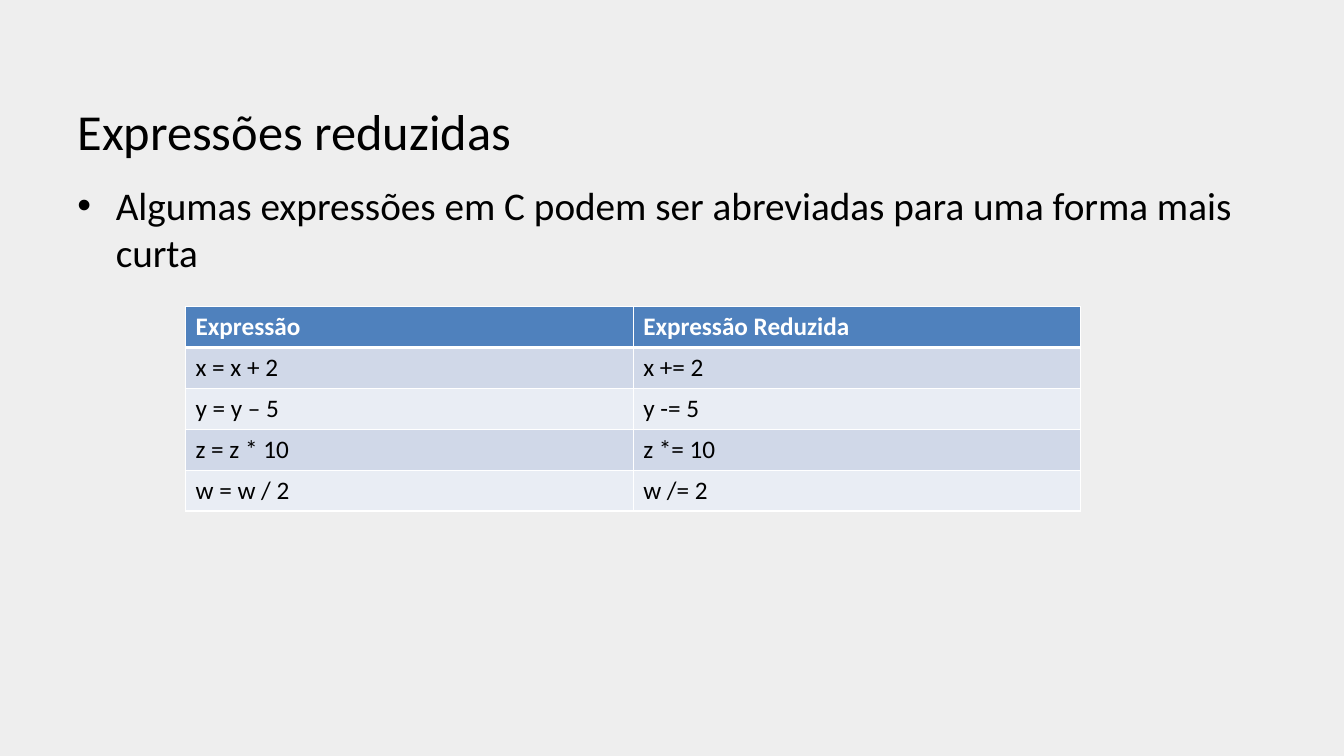
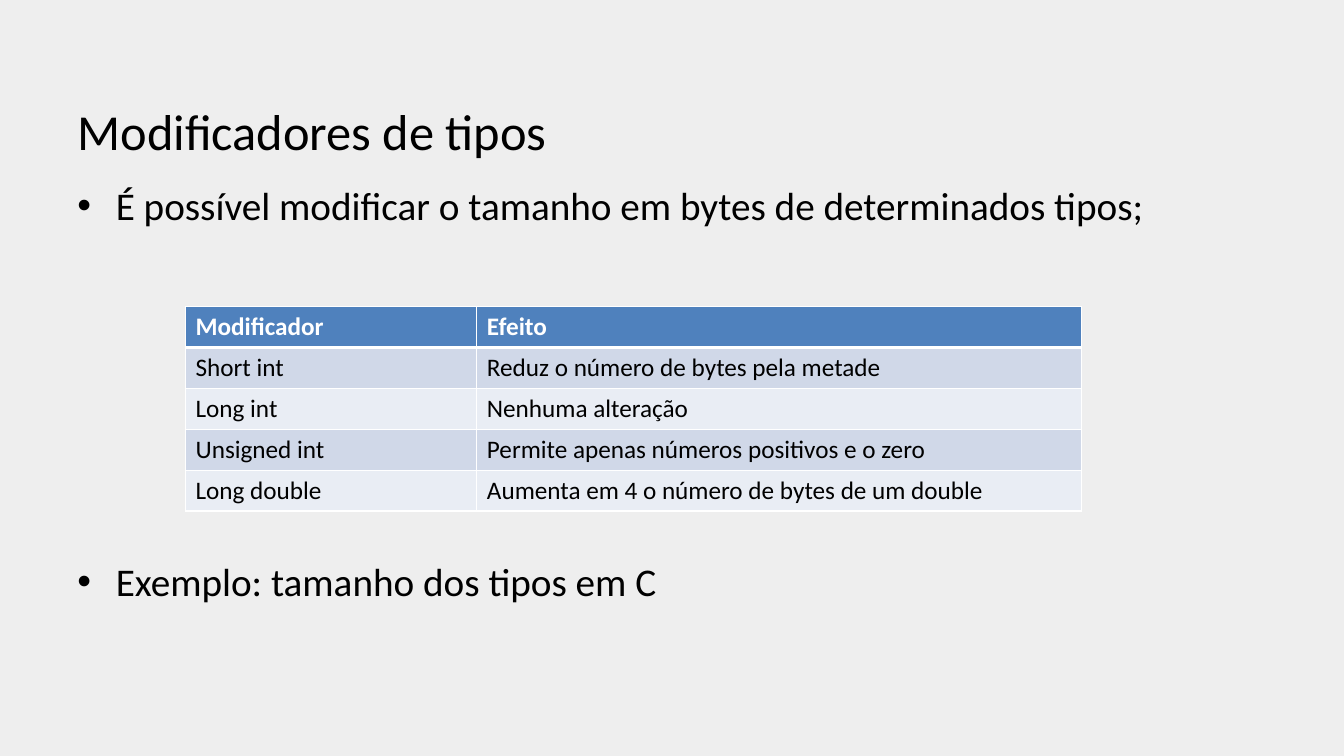
import pptx
import pptx.dml.color
import pptx.enum.text
import pptx.oxml.ns
import pptx.util
from lxml import etree

Inches = pptx.util.Inches
Pt = pptx.util.Pt

# Content: each bullet is (text, space before in points)
SLIDES = [
    {
        "title": "Expressões reduzidas",
        "bullets": [
            ("Algumas expressões em C podem ser abreviadas para uma forma mais curta", 0),
        ],
        "columns": [4.44, 4.44],
        "rows": [
            ("Expressão", "Expressão Reduzida"),
            ("x = x + 2", "x += 2"),
            ("y = y – 5", "y -= 5"),
            ("z = z * 10", "z *= 10"),
            ("w = w / 2", "w /= 2"),
        ],
    },
    {
        "title": "Modificadores de tipos",
        "bullets": [
            ("É possível modificar o tamanho em bytes de determinados tipos;", 0),
            ("Exemplo: tamanho dos tipos em C", 235),
        ],
        "columns": [2.89, 6],
        "rows": [
            ("Modificador", "Efeito"),
            ("Short int", "Reduz o número de bytes pela metade"),
            ("Long int", "Nenhuma alteração"),
            ("Unsigned int", "Permite apenas números positivos e o zero"),
            ("Long double", "Aumenta em 4 o número de bytes de um double"),
        ],
    },
]

# Shared style
FONT = "Calibri"
COLORS = {
    "background": "EEEEEE",
    "text": "000000",
    "header": "4F81BD",
    "header_text": "FFFFFF",
    "odd_row": "D0D8E8",
    "even_row": "E9EDF4",
    "border": "FFFFFF",
}
TITLE_BOX = (0.67, 0.39, 12, 1.25)
BODY_BOX = (0.67, 1.75, 12, 4.95)
TABLE_LEFT, TABLE_TOP, TABLE_HEIGHT = 1.84, 3.04, 2.03
BULLET_INDENT = Inches(0.38)


def color(name):
    return pptx.dml.color.RGBColor.from_string(COLORS[name])


def add_run(paragraph, text, size, color_name="text", bold=False):
    run = paragraph.add_run()
    run.text = text
    run.font.name = FONT
    run.font.size = Pt(size)
    run.font.bold = bold
    run.font.color.rgb = color(color_name)


def add_text_frame(slide, box):
    text_frame = slide.shapes.add_textbox(*map(Inches, box)).text_frame
    text_frame.word_wrap = True
    return text_frame


def add_title(slide, title):
    text_frame = add_text_frame(slide, TITLE_BOX)
    text_frame.vertical_anchor = pptx.enum.text.MSO_ANCHOR.BOTTOM
    add_run(text_frame.paragraphs[0], title, 36)


def add_bullets(slide, bullets):
    text_frame = add_text_frame(slide, BODY_BOX)
    for index, (text, space_before) in enumerate(bullets):
        paragraph = text_frame.add_paragraph() if index else text_frame.paragraphs[0]
        paragraph.space_before = Pt(space_before)
        add_run(paragraph, text, 28)
        properties = paragraph._p.get_or_add_pPr()
        properties.set("marL", str(BULLET_INDENT))
        properties.set("indent", str(-BULLET_INDENT))
        qn = pptx.oxml.ns.qn
        etree.SubElement(properties, qn("a:buFont"), typeface="Arial")
        etree.SubElement(properties, qn("a:buChar"), char="•")


def set_borders(cell, top, bottom):
    qn = pptx.oxml.ns.qn
    properties = cell._tc.get_or_add_tcPr()
    for side, width in (("L", 1), ("R", 1), ("T", top), ("B", bottom)):
        line = etree.SubElement(properties, qn(f"a:ln{side}"), w=str(Pt(width)))
        fill = etree.SubElement(line, qn("a:solidFill"))
        etree.SubElement(fill, qn("a:srgbClr"), val=COLORS["border"])


def add_table(slide, columns, rows):
    table = slide.shapes.add_table(
        len(rows), len(columns), Inches(TABLE_LEFT), Inches(TABLE_TOP),
        Inches(sum(columns)), Inches(TABLE_HEIGHT),
    ).table
    for column, width in zip(table.columns, columns):
        column.width = Inches(width)
    for row_index, texts in enumerate(rows):
        is_header = row_index == 0
        band = "header" if is_header else "odd_row" if row_index % 2 else "even_row"
        for column_index, text in enumerate(texts):
            cell = table.cell(row_index, column_index)
            # The line below the header is thicker
            set_borders(cell, top=3 if row_index == 1 else 1, bottom=3 if is_header else 1)
            cell.fill.solid()
            cell.fill.fore_color.rgb = color(band)
            add_run(cell.text_frame.paragraphs[0], text, 18,
                    "header_text" if is_header else "text", is_header)


def main():
    presentation = pptx.Presentation()
    presentation.slide_width = Inches(13.33)
    presentation.slide_height = Inches(7.5)
    background = presentation.slide_master.background.fill
    background.solid()
    background.fore_color.rgb = color("background")
    for content in SLIDES:
        slide = presentation.slides.add_slide(presentation.slide_layouts[6])
        add_bullets(slide, content["bullets"])
        add_title(slide, content["title"])
        add_table(slide, content["columns"], content["rows"])
    presentation.save("out.pptx")


if __name__ == "__main__":
    main()
